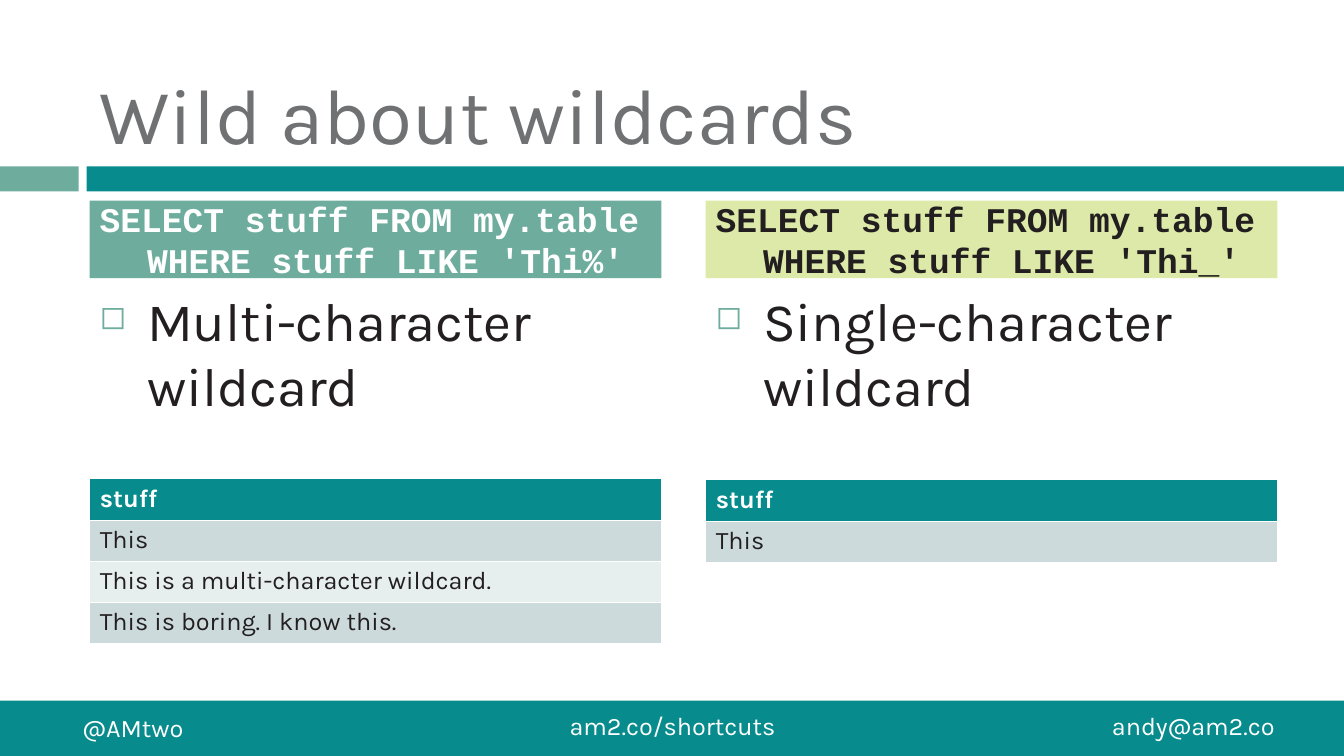
from lxml.etree import SubElement
from pptx import Presentation
from pptx.dml.color import RGBColor
from pptx.enum.shapes import MSO_SHAPE
from pptx.enum.text import MSO_ANCHOR, MSO_AUTO_SIZE, PP_ALIGN
from pptx.oxml.ns import qn
from pptx.util import Inches, Pt

COLORS = {
    "teal": "078B8D", "sage": "6EAD9D", "lime": "DCE9A8", "white": "FFFFFF",
    "ink": "231F20", "gray": "6F7173", "band_dark": "CCDADB", "band_light": "E7EEEE",
}
SLIDE_WIDTH, SLIDE_HEIGHT = 13.33, 7.5
COLUMN_WIDTH, ROW_HEIGHT = 5.67, 0.41
HANGING = 0.47


def rgb(name):
    return RGBColor.from_string(COLORS[name])


def add_run(paragraph, text, size, color, font="Karla", bold=False):
    run = paragraph.add_run()
    run.text = text
    run.font.size = Pt(size)
    run.font.name = font
    run.font.bold = bold
    run.font.color.rgb = rgb(color)


def add_bar(slide, left, top, width, height, color):
    bar = slide.shapes.add_shape(
        MSO_SHAPE.RECTANGLE, Inches(left), Inches(top), Inches(width), Inches(height))
    bar.shadow.inherit = False
    bar.fill.solid()
    bar.fill.fore_color.rgb = rgb(color)
    bar.line.fill.background()
    return bar


def add_text_frame(slide, left, top, width, height):
    frame = slide.shapes.add_textbox(
        Inches(left), Inches(top), Inches(width), Inches(height)).text_frame
    frame.word_wrap = True
    return frame


def set_hanging_indent(paragraph):
    properties = paragraph._p.get_or_add_pPr()
    properties.set("marL", str(Inches(HANGING)))
    properties.set("indent", str(-Inches(HANGING)))
    return properties


def add_title(slide, text, left, top, width, height):
    title = slide.shapes.title
    title.left, title.top = Inches(left), Inches(top)
    title.width, title.height = Inches(width), Inches(height)
    frame = title.text_frame
    frame.auto_size = MSO_AUTO_SIZE.NONE
    frame.vertical_anchor = MSO_ANCHOR.BOTTOM
    frame.paragraphs[0].alignment = PP_ALIGN.LEFT
    add_run(frame.paragraphs[0], text, 56, "gray")


def add_divider(slide, top, height):
    add_bar(slide, 0, top, 0.78, height, "sage")
    add_bar(slide, 0.86, top, SLIDE_WIDTH - 0.86, height, "teal")


def add_footer(slide, top, height):
    add_bar(slide, 0, top, SLIDE_WIDTH, height, "teal")
    for text, left, offset, width, alignment in (
        ("@AMtwo", 0.72, 0.07, 1.3, PP_ALIGN.LEFT),
        ("am2.co/shortcuts", 5.21, 0.05, 2.92, PP_ALIGN.CENTER),
        ("andy@am2.co", 10.93, 0.05, 1.85, PP_ALIGN.LEFT),
    ):
        contact = add_text_frame(slide, left, top + offset, width, 0.4).paragraphs[0]
        contact.alignment = alignment
        add_run(contact, text, 18, "white")


def add_query(slide, lines, left, top, fill, color):
    frame = add_bar(slide, left, top, COLUMN_WIDTH, 0.77, fill).text_frame
    frame.word_wrap = True
    frame.vertical_anchor = MSO_ANCHOR.MIDDLE
    query = frame.paragraphs[0]
    set_hanging_indent(query)
    query.alignment = PP_ALIGN.LEFT
    for index, line in enumerate(lines):
        if index:
            query.add_line_break()
        add_run(query, line, 24.7, color, "Courier New", bold=True)


def add_bullet(slide, text, left, top, height):
    bullet = add_text_frame(slide, left, top, COLUMN_WIDTH, height).paragraphs[0]
    properties = set_hanging_indent(bullet)
    bullet_color = SubElement(properties, qn("a:buClr"))
    SubElement(bullet_color, qn("a:srgbClr"), val=COLORS["sage"])
    SubElement(properties, qn("a:buSzPct"), val="60000")
    SubElement(properties, qn("a:buChar"), char="◻")
    add_run(bullet, text, 38.7, "ink")


def add_results(slide, matches, left, top):
    rows = ["stuff", *matches]
    table = slide.shapes.add_table(
        len(rows), 1, Inches(left), Inches(top),
        Inches(COLUMN_WIDTH), Inches(ROW_HEIGHT * len(rows))).table
    for index, text in enumerate(rows):
        header = index == 0
        cell = table.cell(index, 0)
        cell.fill.solid()
        band = "band_dark" if index % 2 else "band_light"
        cell.fill.fore_color.rgb = rgb("teal" if header else band)
        add_run(cell.text_frame.paragraphs[0], text, 18,
                "white" if header else "ink", bold=header)


def add_wildcard_column(slide, left, top, wildcard, fill, color, meaning,
                        meaning_height, matches, results_offset):
    lines = ("SELECT stuff FROM my.table", f"WHERE stuff LIKE 'Thi{wildcard}'")
    add_query(slide, lines, left, top, fill, color)
    add_bullet(slide, meaning, left, top + 0.81, meaning_height)
    add_results(slide, matches, left, top + results_offset)


def main():
    presentation = Presentation()
    presentation.slide_width = Inches(SLIDE_WIDTH)
    presentation.slide_height = Inches(SLIDE_HEIGHT)
    slide = presentation.slides.add_slide(presentation.slide_layouts[5])
    add_divider(slide, 1.65, 0.25)
    add_footer(slide, 6.95, 0.55)
    add_title(slide, "Wild about wildcards", 0.89, 0.17, 11.89, 1.47)
    add_wildcard_column(
        slide, 0.89, 1.99, "%", "sage", "white", "Multi-character wildcard", 1.83,
        ["This", "This is a multi-character wildcard.", "This is boring. I know this."], 2.76)
    add_wildcard_column(
        slide, 7, 1.99, "_", "lime", "ink", "Single-character wildcard", 2.56,
        ["This"], 2.77)
    presentation.save("out.pptx")


if __name__ == "__main__":
    main()
